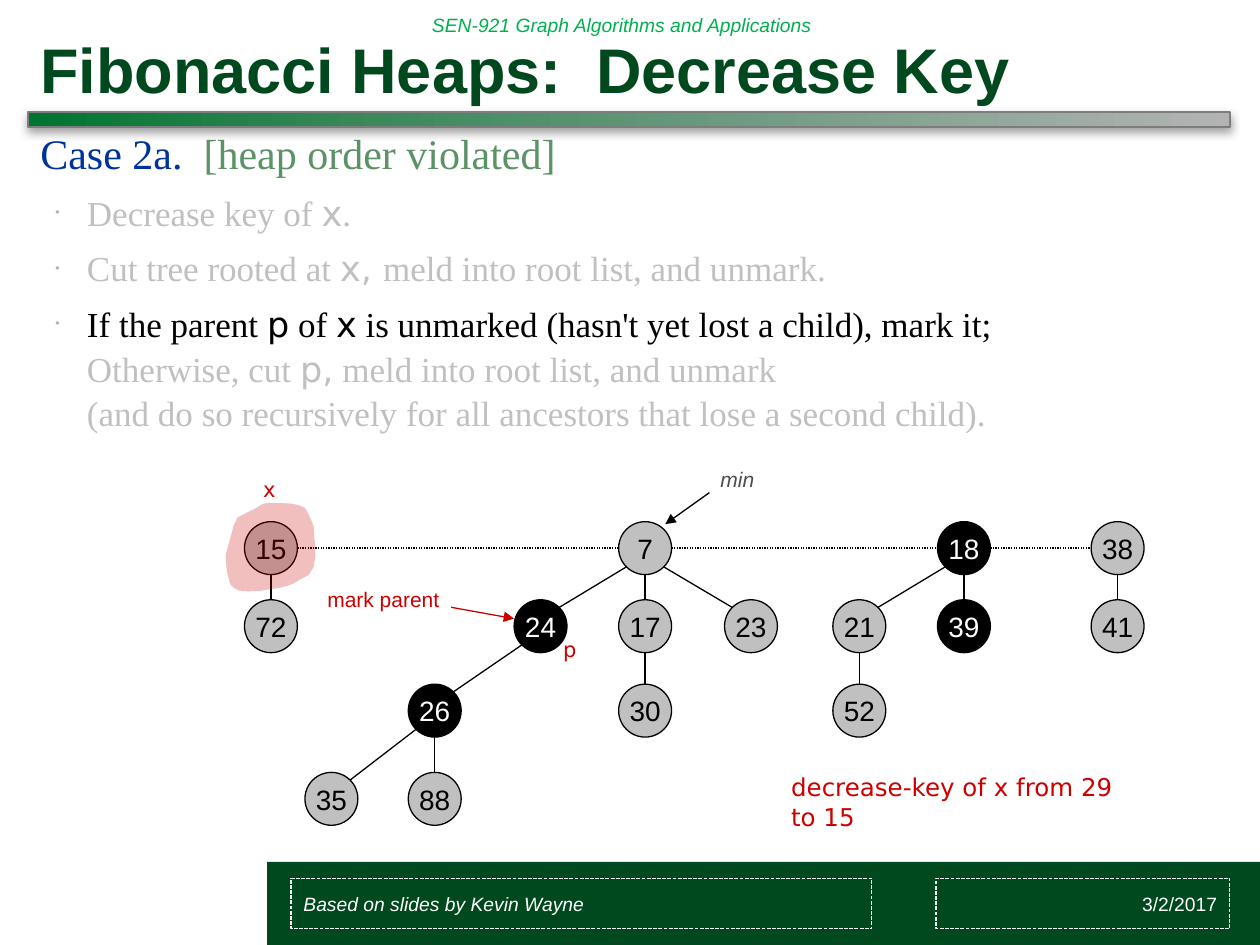
"""Build the slide on the decrease-key operation of Fibonacci heaps."""
from copy import deepcopy

from lxml import etree
from pptx import Presentation
from pptx import util as u
from pptx.dml.color import RGBColor
from pptx.enum import dml, shapes, text
from pptx.oxml import parse_xml
from pptx.oxml.ns import nsdecls, qn

DARK_GREEN = RGBColor(0x00, 0x48, 0x1E)
BAR_GREEN = RGBColor(0x00, 0x74, 0x30)
MID_GREEN = RGBColor(0x3C, 0x89, 0x5C)
SOFT_GREEN = RGBColor(0x5B, 0x92, 0x66)
HEAD_GREEN = RGBColor(0x00, 0xB0, 0x50)
BLUE = RGBColor(0x00, 0x33, 0x99)
RED = RGBColor(0xCC, 0x00, 0x00)
BLACK = RGBColor(0x00, 0x00, 0x00)
MARKED = RGBColor(0x01, 0x00, 0x00)
WHITE = RGBColor(0xFF, 0xFF, 0xFF)
PALE = RGBColor(0xF2, 0xF2, 0xF2)
SILVER = RGBColor(0xC0, 0xC0, 0xC0)
BULLET = RGBColor(0xB3, 0xB3, 0xB3)
EDGE_GRAY = RGBColor(0x7D, 0x7D, 0x7D)
CHARCOAL = RGBColor(0x4D, 0x4D, 0x4D)
SANS, MONO, SERIF = "Arial", "DejaVu Sans", "Times New Roman"
DIAMETER, DIAGONAL = 0.42, 0.15

ROWS = (4.35, 4.97, 5.64, 6.34)
NODES = {
    15: (2.15, 0), 72: (2.15, 1), 7: (5.12, 0), 24: (4.29, 1), 17: (5.12, 1),
    23: (5.96, 1), 26: (3.45, 2), 30: (5.12, 2), 35: (2.63, 3), 88: (3.45, 3),
    18: (7.65, 0), 21: (6.82, 1), 39: (7.65, 1), 52: (6.82, 2),
    38: (8.87, 0), 41: (8.87, 1),
}
MARKED_NODES = {18, 24, 26, 39}
TREE_EDGES = [(15, 72), (7, 24), (7, 17), (7, 23), (17, 30), (24, 26), (26, 35),
              (26, 88), (18, 21), (18, 39), (21, 52), (38, 41)]
ROOT_LINKS = [(15, 7), (7, 18), (18, 38)]
HIGHLIGHT_START = (1.88, 4.11)
HIGHLIGHT_CURVES = [
    (1.92, 4.09, 1.97, 4.06, 2.02, 4.04), (2.1, 3.99, 2.06, 4.01, 2.12, 3.99),
    (2.28, 4, 2.31, 3.98, 2.42, 4.03), (2.45, 4.08, 2.47, 4.12, 2.49, 4.18),
    (2.49, 4.3, 2.56, 4.56, 2.38, 4.6), (2.29, 4.67, 2.16, 4.67, 2.06, 4.69),
    (1.97, 4.69, 1.88, 4.71, 1.83, 4.64), (1.8, 4.54, 1.8, 4.54, 1.79, 4.41),
    (1.81, 4.34, 1.83, 4.26, 1.85, 4.19), (1.85, 4.16, 1.88, 4.14, 1.88, 4.11),
]
STEPS = [
    [("Decrease key of ", SERIF, SILVER), ("x", MONO, SILVER), (".", SERIF, SILVER)],
    [("Cut tree rooted at ", SERIF, SILVER), ("x, ", MONO, SILVER),
     ("meld into root list, and unmark.", SERIF, SILVER)],
    [("If the parent ", SERIF, BLACK), ("p", MONO, BLACK), (" of ", SERIF, BLACK),
     ("x", MONO, BLACK),
     (" is unmarked (hasn't yet lost a child), mark it;\n", SERIF, BLACK),
     ("Otherwise, cut ", SERIF, SILVER), ("p,", MONO, SILVER),
     (" meld into root list, and unmark\n"
      "(and do so recursively for all ancestors that lose a second child).",
      SERIF, SILVER)],
]


def add_text(p, words, size=12, font=SANS, color=BLACK, bold=False, italic=False):
    """Append formatted words to a paragraph, breaking lines at newlines."""
    for i, part in enumerate(words.split("\n")):
        if i:
            p.add_line_break()
        if part:
            r = p.add_run()
            r.text = part
            r.font.size, r.font.name = u.Pt(size), font
            r.font.bold, r.font.italic = bold, italic
            r.font.color.rgb = color


def curve_points(start, curves, steps=6):
    """Return points along a chain of cubic curves."""
    points = []
    for x1, y1, x2, y2, x3, y3 in curves:
        for t in (i / steps for i in range(1, steps + 1)):
            weights = ((1 - t) ** 3, 3 * t * (1 - t) ** 2, 3 * t * t * (1 - t), t ** 3)
            points.append(tuple(sum(w * c for w, c in zip(weights, axis))
                                for axis in ((start[0], x1, x2, x3), (start[1], y1, y2, y3))))
        start = (x3, y3)
    return points


class HeapSlide:
    """Hold the current slide and draw elements in its style."""

    def __init__(self, prs):
        self.slide = prs.slides.add_slide(prs.slide_layouts[1])
        self.shapes = self.slide.shapes

    def place(self, sp, box):
        sp.left, sp.top, sp.width, sp.height = map(u.Inches, box)
        sp.text_frame.auto_size = text.MSO_AUTO_SIZE.NONE
        sp.text_frame.word_wrap = True
        return sp.text_frame

    def title(self, words, box):
        tf = self.place(self.shapes.title, box)
        tf.vertical_anchor = text.MSO_ANCHOR.BOTTOM
        tf.paragraphs[0].alignment = text.PP_ALIGN.LEFT
        add_text(tf.paragraphs[0], words, size=36, color=DARK_GREEN, bold=True)

    def body(self, heading, steps, box):
        tf = self.place(self.slide.placeholders[1], box)
        tf.vertical_anchor = text.MSO_ANCHOR.TOP
        for i, runs in enumerate([heading] + steps):
            p = tf.add_paragraph() if i else tf.paragraphs[0]
            p.level = 1 if i else 0
            p.line_spacing, p.space_before = u.Pt(25.6), u.Pt(6 if i else 20)
            pPr = p._p.get_or_add_pPr()
            pPr.set("marL", str(u.Inches(0.37 if i else 0.25)))
            pPr.set("indent", str(u.Inches(-0.25)))
            if i:
                color = etree.SubElement(pPr, qn("a:buClr"))
                etree.SubElement(color, qn("a:srgbClr"), val=str(BULLET))
                etree.SubElement(pPr, qn("a:buSzPct"), val="35000")
                etree.SubElement(pPr, qn("a:buChar"), char="•")
            else:
                etree.SubElement(pPr, qn("a:buNone"))
            for words, font, color in runs:
                add_text(p, words, size=20 if i else 24, font=font, color=color)

    def shape(self, kind, box, fill=None, line=None, width=0.75, dash=None):
        sp = self.shapes.add_shape(kind, *map(u.Inches, box))
        self.paint(sp, fill)
        if line is None:
            sp.line.fill.background()
        else:
            sp.line.color.rgb, sp.line.width = line, u.Pt(width)
            sp.line.dash_style = dash
        return sp

    def paint(self, sp, fill):
        sp.shadow.inherit = False
        if fill is None:
            sp.fill.background()
        else:
            sp.fill.solid()
            sp.fill.fore_color.rgb = fill

    def rule(self, box):
        sp = self.shape(shapes.MSO_SHAPE.RECTANGLE, box, BULLET, EDGE_GRAY, 1)
        sp.fill.gradient()
        sp.fill.gradient_angle = 0
        first = sp.fill._fill._gradFill.gsLst[0]
        first.addnext(deepcopy(first))
        for stop, pos, color in zip(sp.fill.gradient_stops, (0, 0.29, 1),
                                    (BAR_GREEN, MID_GREEN, BULLET)):
            stop.position, stop.color.rgb = pos, color
        sp._element.spPr.find(qn("a:effectLst")).append(parse_xml(
            f'<a:outerShdw {nsdecls("a")} blurRad="{u.Pt(5)}" dist="{u.Pt(2)}" dir="5400000" '
            'rotWithShape="0"><a:srgbClr val="808080"><a:alpha val="75000"/></a:srgbClr>'
            '</a:outerShdw>'))

    def footer(self, words, box, align, italic=False):
        sp = self.shape(shapes.MSO_SHAPE.RECTANGLE, box, line=PALE,
                        dash=dml.MSO_LINE.SQUARE_DOT)
        sp.line._ln.find(qn("a:prstDash")).set("val", "sysDash")
        sp.text_frame.vertical_anchor = text.MSO_ANCHOR.MIDDLE
        p = sp.text_frame.paragraphs[0]
        p.alignment = align
        add_text(p, words, size=11, color=WHITE, italic=italic)

    def label(self, words, box, wrap=False, anchor=text.MSO_ANCHOR.TOP, **style):
        tf = self.shapes.add_textbox(*map(u.Inches, box)).text_frame
        tf.word_wrap, tf.vertical_anchor = wrap, anchor
        add_text(tf.paragraphs[0], words, **style)

    def node(self, key):
        x, row = NODES[key]
        marked = key in MARKED_NODES
        box = (x - DIAMETER / 2, ROWS[row] - DIAMETER / 2, DIAMETER, DIAMETER)
        sp = self.shape(shapes.MSO_SHAPE.OVAL, box, MARKED if marked else SILVER, BLACK)
        tf = sp.text_frame
        tf.word_wrap, tf.vertical_anchor = False, text.MSO_ANCHOR.MIDDLE
        tf.paragraphs[0].alignment = text.PP_ALIGN.CENTER
        add_text(tf.paragraphs[0], str(key), size=16, color=WHITE if marked else BLACK)

    def line(self, start, end, color=BLACK, dotted=False, arrow=False):
        sp = self.shapes.add_connector(shapes.MSO_CONNECTOR.STRAIGHT,
                                       *map(u.Inches, start + end))
        sp.line.color.rgb, sp.line.width = color, u.Pt(0.75)
        if dotted:
            sp.line.dash_style = dml.MSO_LINE.ROUND_DOT
        if arrow:
            etree.SubElement(sp.line._ln, qn("a:tailEnd"), type="triangle")
        etree.SubElement(sp._element.spPr, qn("a:effectLst"))

    def edge(self, a, b, dotted=False):
        (xa, row_a), (xb, row_b) = NODES[a], NODES[b]
        dx, dy = (xb > xa) - (xb < xa), row_b - row_a
        reach = DIAGONAL if dx and dy else DIAMETER / 2
        self.line((xa + dx * reach, ROWS[row_a] + dy * reach),
                  (xb - dx * reach, ROWS[row_b] - dy * reach), dotted=dotted)

    def highlight(self, start, curves):
        builder = self.shapes.build_freeform(*map(u.Inches, start), scale=1.0)
        builder.add_line_segments([tuple(map(u.Inches, pt))
                                   for pt in curve_points(start, curves)], close=True)
        sp = builder.convert_to_shape()
        self.paint(sp, RED)
        sp.line.fill.background()
        etree.SubElement(sp._element.spPr.find(".//" + qn("a:srgbClr")),
                         qn("a:alpha"), val="25000")


def main():
    """Build and save the slide."""
    prs = Presentation()
    prs.slide_width, prs.slide_height = u.Inches(10), u.Inches(7.5)
    s = HeapSlide(prs)
    s.shape(shapes.MSO_SHAPE.RECTANGLE, (2.12, 6.84, 7.88, 0.66), DARK_GREEN)
    s.label("SEN-921 Graph Algorithms and Applications", (3.33, 0, 4.61, 0.4), wrap=True,
            anchor=text.MSO_ANCHOR.MIDDLE, size=11, color=HEAD_GREEN, italic=True)
    s.rule((0.22, 0.89, 9.54, 0.12))
    s.title("Fibonacci Heaps:  Decrease Key", (0.22, 0.16, 9.54, 0.73))
    s.body([("Case 2a.  ", SERIF, BLUE), ("[heap order violated]", SERIF, SOFT_GREEN)],
           STEPS, (0.22, 1.01, 9.54, 5.69))
    for key in NODES:
        s.node(key)
    for a, b in TREE_EDGES:
        s.edge(a, b)
    for a, b in ROOT_LINKS:
        s.edge(a, b, dotted=True)
    s.highlight(HIGHLIGHT_START, HIGHLIGHT_CURVES)
    s.label("min", (5.62, 3.65, 0.47, 0.3), color=CHARCOAL, italic=True)
    s.line((5.63, 3.91), (5.28, 4.16), arrow=True)
    s.label("decrease-key of x from 29 to 15", (6.18, 6.08, 2.95, 0.34), wrap=True,
            size=14, font=MONO, color=RED)
    s.label("p", (4.37, 5, 0.29, 0.3), font=MONO, color=RED)
    s.label("x", (1.99, 3.73, 0.28, 0.3), font=MONO, color=RED)
    s.label("mark parent", (2.5, 4.61, 1.1, 0.3), color=RED)
    s.line((3.58, 4.82), (4.08, 4.91), color=RED, arrow=True)
    s.footer("3/2/2017", (7.43, 6.97, 2.33, 0.4), text.PP_ALIGN.RIGHT)
    s.footer("Based on slides by Kevin Wayne", (2.31, 6.97, 4.61, 0.4),
             text.PP_ALIGN.LEFT, italic=True)
    prs.save("out.pptx")


main()
